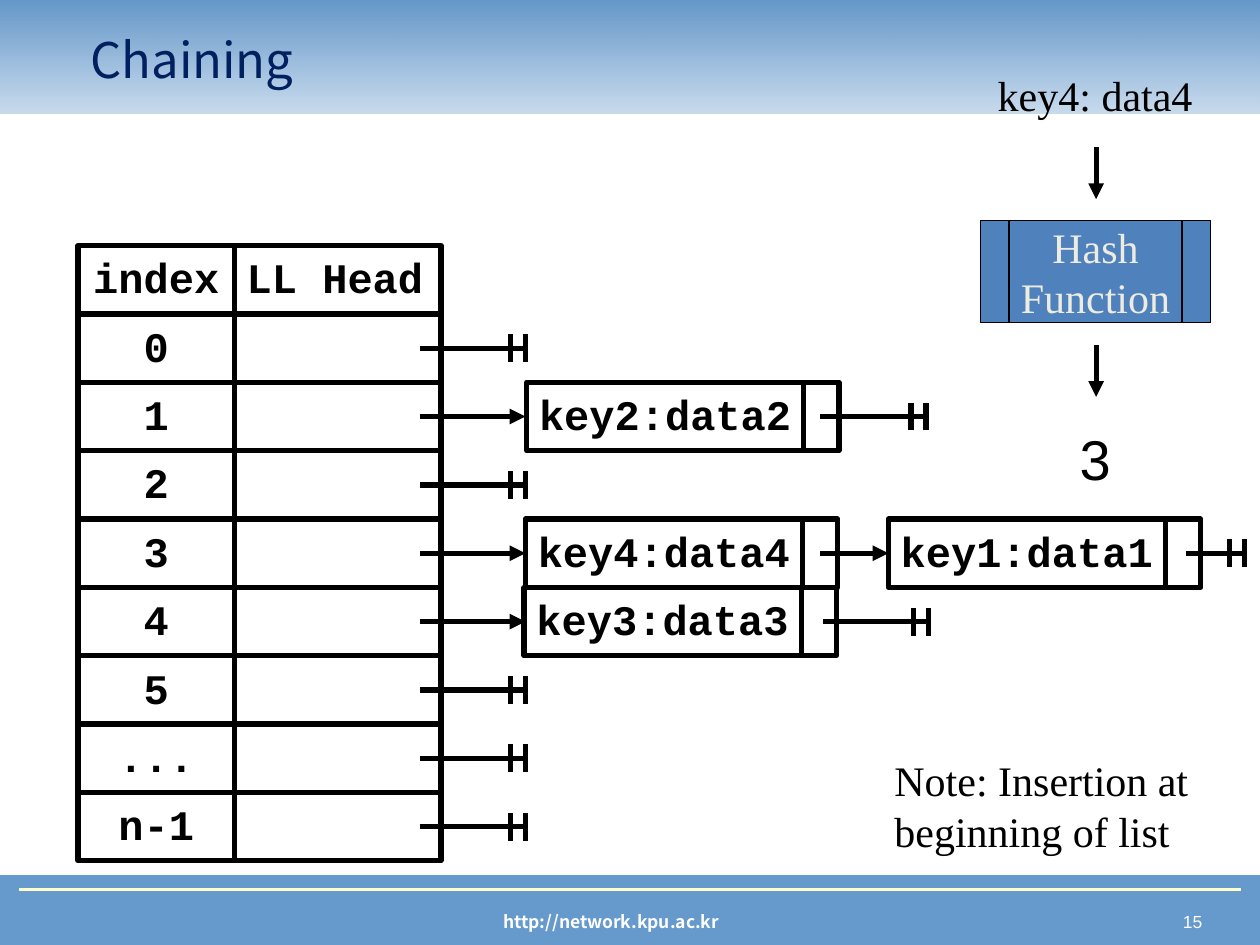
from typing import Any, NamedTuple

from lxml import etree
from pptx import Presentation
from pptx.dml.color import RGBColor
from pptx.enum.shapes import MSO_CONNECTOR, MSO_SHAPE
from pptx.enum.text import MSO_ANCHOR, MSO_AUTO_SIZE, PP_ALIGN
from pptx.oxml.ns import qn
from pptx.util import Inches, Pt

STRAIGHT = MSO_CONNECTOR.STRAIGHT
RECT = MSO_SHAPE.RECTANGLE
PROCESS = MSO_SHAPE.FLOWCHART_PREDEFINED_PROCESS
TOP, MIDDLE = MSO_ANCHOR.TOP, MSO_ANCHOR.MIDDLE
GROW, FIXED = MSO_AUTO_SIZE.SHAPE_TO_FIT_TEXT, MSO_AUTO_SIZE.NONE
LEFT, CENTER, RIGHT = PP_ALIGN.LEFT, PP_ALIGN.CENTER, PP_ALIGN.RIGHT

BLACK, WHITE, BLUE = "000000", "FFFFFF", "6699CC"
SERIF, SANS, MONO, KOREAN = "Times New Roman", "Arial", "Courier New", "Noto Sans CJK KR"

TABLE_TOP = 1.95
ROW_HEIGHT = 4.34 / 8
INDEX_LEFT, INDEX_WIDTH = 0.62, 1.24
HEAD_LEFT, HEAD_WIDTH = 1.86, 1.64
KEY_WIDTH, NEXT_WIDTH = 2.2, 0.28
LINK_START, LINK_END = 3.33, 4.17
BAR_GAP, BAR_REACH = 0.12, 0.11


class Box(NamedTuple):
    left: float
    top: float
    width: float
    height: float


class Style(NamedTuple):
    font: str
    size: float
    color: str = BLACK
    bold: bool = False
    align: PP_ALIGN = LEFT
    anchor: MSO_ANCHOR = TOP
    wrap: bool = False


class Caption(NamedTuple):
    text: str
    box: Box
    style: Style


class Node(NamedTuple):
    text: str
    left: float
    row: int


class Link(NamedTuple):
    start: float
    end: float
    row: int


CELL = Style(MONO, 24, bold=True)
INDEX = CELL._replace(align=CENTER)
BODY = Style(SERIF, 24)

FOOTERS = [
    Caption("15", Box(7.42, 7.18, 2.22, 0.27), Style(SANS, 10, WHITE, align=RIGHT, wrap=True)),
    Caption("http://network.kpu.ac.kr", Box(2.27, 7.18, 5.16, 0.27),
            Style(KOREAN, 10, WHITE, True, CENTER, wrap=True)),
]
NOTES = [
    Caption("key4: data4", Box(7.82, 0.5, 1.78, 0.5), BODY),
    Caption("3", Box(8.47, 3.32, 0.45, 0.64), Style(SANS, 32)),
    Caption("Note: Insertion at\nbeginning of list", Box(7, 5.94, 2.61, 0.9), BODY),
]
INDEXES = ["index", "0", "1", "2", "3", "4", "5", "...", "n-1"]
NODES = [
    Node("key2:data2", 4.18, 2),
    Node("key4:data4", 4.17, 4),
    Node("key1:data1", 7.05, 4),
    Node("key3:data3", 4.16, 5),
]
ARROWS = [Link(LINK_START, LINK_END, row) for row in (2, 4, 5)] + [Link(6.51, 7.05, 4)]
NULL_LINKS = [Link(LINK_START, LINK_END, row) for row in (1, 3, 6, 7, 8)] + [
    Link(6.51, 7.35, 2), Link(6.53, 7.37, 5), Link(9.41, 9.88, 4)]


def rgb(color: str) -> RGBColor:
    return RGBColor.from_string(color)


def assign(target: Any, values: dict[str, Any]) -> None:
    for name, value in values.items():
        setattr(target, name, value)


def row_top(row: int) -> float:
    return TABLE_TOP + row * ROW_HEIGHT


def row_middle(row: int) -> float:
    return row_top(row) + ROW_HEIGHT / 2


def write(shape: Any, text: str, style: Style, fit: MSO_AUTO_SIZE = FIXED) -> None:
    frame = shape.text_frame
    frame.text = text
    assign(frame, {
        "word_wrap": style.wrap, "auto_size": fit, "vertical_anchor": style.anchor,
        "margin_left": Inches(0.1), "margin_right": Inches(0.1),
        "margin_top": Inches(0.05), "margin_bottom": Inches(0.05),
    })
    for paragraph in frame.paragraphs:
        paragraph.alignment = style.align
        assign(paragraph.font, {"name": style.font, "size": Pt(style.size), "bold": style.bold})
        paragraph.font.color.rgb = rgb(style.color)


def add_box(shapes: Any, box: Box, kind: MSO_SHAPE = RECT, fill: str | None = None,
            line: str | None = BLACK, weight: float = 3) -> Any:
    shape = shapes.add_shape(kind, *map(Inches, box))
    shape.shadow.inherit = False
    if fill:
        shape.fill.solid()
        shape.fill.fore_color.rgb = rgb(fill)
    else:
        shape.fill.background()
    if line:
        shape.line.color.rgb = rgb(line)
        shape.line.width = Pt(weight)
    else:
        shape.line.fill.background()
    return shape


def add_caption(shapes: Any, caption: Caption) -> None:
    fit = GROW if caption.style.wrap else FIXED
    write(shapes.add_textbox(*map(Inches, caption.box)), caption.text, caption.style, fit)


def add_line(shapes: Any, x1: float, y1: float, x2: float, y2: float,
             color: str = BLACK, weight: float = 3, arrow: bool = False) -> None:
    line = shapes.add_connector(STRAIGHT, *map(Inches, (x1, y1, x2, y2)))
    line.line.color.rgb = rgb(color)
    line.line.width = Pt(weight)
    properties = line.element.spPr
    if arrow:
        etree.SubElement(properties.find(qn("a:ln")), qn("a:tailEnd"), type="triangle")
    etree.SubElement(properties, qn("a:effectLst"))


def add_null_link(shapes: Any, link: Link) -> None:
    parts = shapes.add_group_shape().shapes
    y = row_middle(link.row)
    add_line(parts, link.start, y, link.end, y)
    for x in (link.end - BAR_GAP, link.end):
        add_line(parts, x, y + BAR_REACH, x, y - BAR_REACH)


def add_node(shapes: Any, node: Node) -> None:
    top = row_top(node.row)
    write(add_box(shapes, Box(node.left, top, KEY_WIDTH, ROW_HEIGHT)), node.text, CELL)
    add_box(shapes, Box(node.left + KEY_WIDTH, top, NEXT_WIDTH, ROW_HEIGHT))


def add_header(slide: Any) -> None:
    band = add_box(slide.shapes, Box(0, 0, 10, 0.9), line=None)
    band.fill.gradient()
    band.fill.gradient_angle = 90
    for stop, color, position in zip(band.fill.gradient_stops, (BLUE, "6497C9"), (0, 1)):
        stop.color.rgb = rgb(color)
        stop.position = position
    faded = band.element.spPr.find(".//" + qn("a:srgbClr"))
    etree.SubElement(faded, qn("a:alpha"), val="35000")

    title = slide.shapes.title
    assign(title, {"left": Inches(0.62), "top": Inches(0.16),
                   "width": Inches(8.44), "height": Inches(0.62)})
    write(title, "Chaining", Style(KOREAN, 28, "002060", anchor=MIDDLE, wrap=True))
    band.element.addnext(title.element)


def main() -> None:
    deck = Presentation()
    assign(deck, {"slide_width": Inches(10), "slide_height": Inches(7.5)})
    slide = deck.slides.add_slide(deck.slide_layouts[5])
    shapes = slide.shapes

    add_box(shapes, Box(0, 6.95, 10, 0.55), fill=BLUE, line=BLUE, weight=0.75)
    add_line(shapes, 0.15, 7.06, 9.85, 7.06, "FFFFCC", 1.5)
    add_header(slide)
    for caption in FOOTERS + NOTES:
        add_caption(shapes, caption)

    hash_function = add_box(shapes, Box(7.78, 1.75, 1.83, 0.81), PROCESS, "4F81BD", weight=0.75)
    write(hash_function, "Hash\nFunction", Style(SERIF, 24, "EEECE1", align=CENTER, anchor=MIDDLE))
    for top in (1.17, 2.74):
        add_line(shapes, 8.7, top, 8.7, top + 0.41, arrow=True)

    for row, index in enumerate(INDEXES):
        top = row_top(row)
        write(add_box(shapes, Box(INDEX_LEFT, top, INDEX_WIDTH, ROW_HEIGHT)), index, INDEX)
        head = add_box(shapes, Box(HEAD_LEFT, top, HEAD_WIDTH, ROW_HEIGHT))
        if row == 0:
            write(head, "LL Head", CELL)

    for node in NODES:
        add_node(shapes, node)
    for arrow in ARROWS:
        y = row_middle(arrow.row)
        add_line(shapes, arrow.start, y, arrow.end, y, arrow=True)
    for link in NULL_LINKS:
        add_null_link(shapes, link)

    deck.save("out.pptx")


if __name__ == "__main__":
    main()
